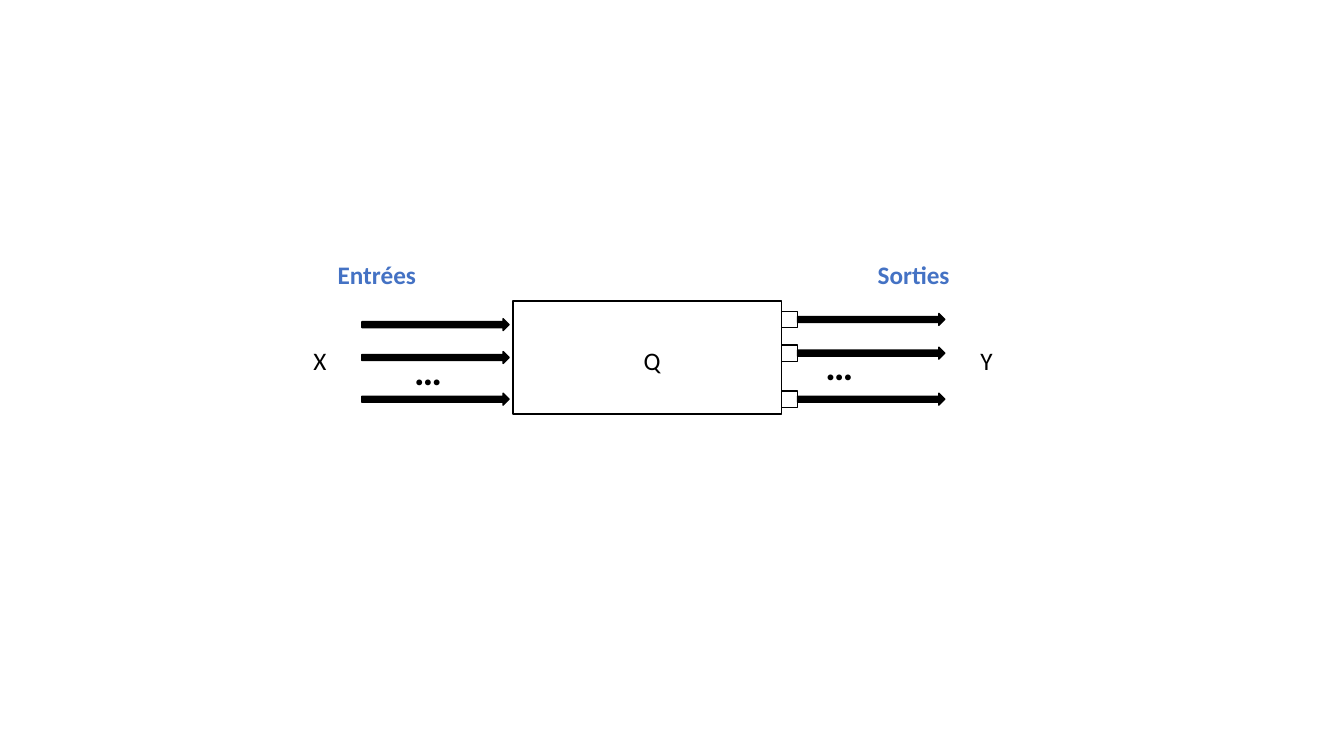
from pptx import Presentation
from pptx.dml.color import RGBColor
from pptx.enum import shapes, text
from pptx.util import Cm, Pt

BLACK = RGBColor(0x00, 0x00, 0x00)
BLUE = RGBColor(0x44, 0x72, 0xC4)
KIND = shapes.MSO_SHAPE

deck = Presentation()
deck.slide_width, deck.slide_height = Cm(33.87), Cm(19.05)
slide = deck.slides.add_slide(deck.slide_layouts[6])


def draw(kind, left, top, width, height, fill=None):
    form = slide.shapes.add_shape(kind, Cm(left), Cm(top), Cm(width), Cm(height))
    form.shadow.inherit = False
    if fill is None:
        form.fill.background()
    else:
        form.fill.solid()
        form.fill.fore_color.rgb = fill
    form.line.color.rgb = BLACK
    form.line.width = Pt(1)


def write(words, left, top, width, height, size=18, color=BLACK, bold=False, wrap=False):
    box = slide.shapes.add_textbox(Cm(left), Cm(top), Cm(width), Cm(height))
    frame = box.text_frame
    frame.word_wrap = wrap
    frame.auto_size = text.MSO_AUTO_SIZE.SHAPE_TO_FIT_TEXT
    run = frame.paragraphs[0].add_run()
    run.text = words
    font = run.font
    font.name, font.size, font.bold = "Calibri", Pt(size), bold
    font.color.rgb = color


# Arrows and output ports are centred on their rows
LONG, THICK, PORT = 3.71, 0.3, 0.41
BODY, WIDE = 12.93, 6.76
edge = BODY + WIDE

for mid in (8.18, 9.01, 10.06):
    draw(KIND.RIGHT_ARROW, 9.12, mid - THICK / 2, LONG, THICK, fill=BLACK)

for mid in (8.05, 8.9, 10.06):
    draw(KIND.RECTANGLE, edge, mid - PORT / 2, PORT, PORT)
    draw(KIND.RIGHT_ARROW, edge + PORT, mid - THICK / 2, LONG, THICK, fill=BLACK)

draw(KIND.RECTANGLE, BODY, 7.59, WIDE, 2.84)

for left, top in ((10.19, 8.59), (20.55, 8.48)):
    write("…", left, top, 1.5, 1.45, size=28, bold=True)

for name, left in (("X", 7.65), ("Q", 15.97), ("Y", 24.46)):
    write(name, left, 8.58, 0.85, 0.86)

for name, left in (("Entrées", 8.26), ("Sorties", 21.87)):
    write(name, left, 6.42, 3.12, 1.02, color=BLUE, bold=True, wrap=True)

deck.save("out.pptx")
